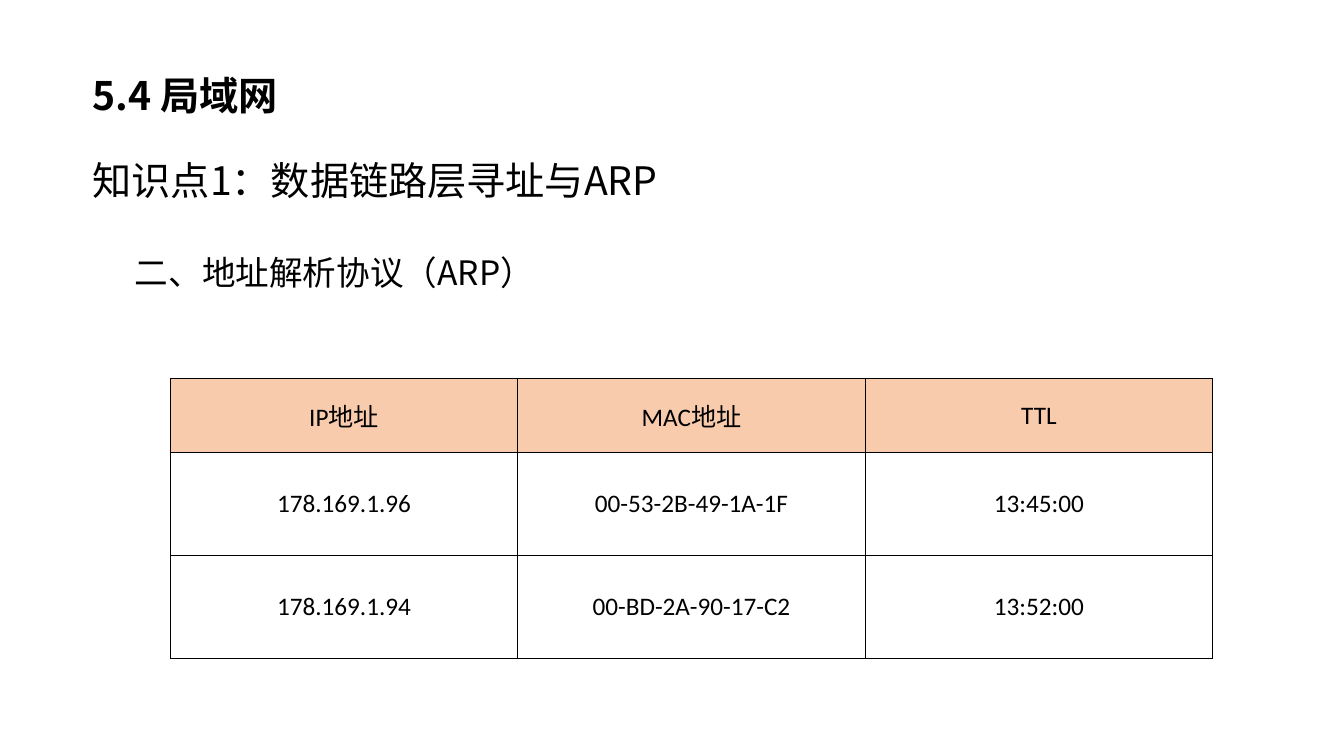
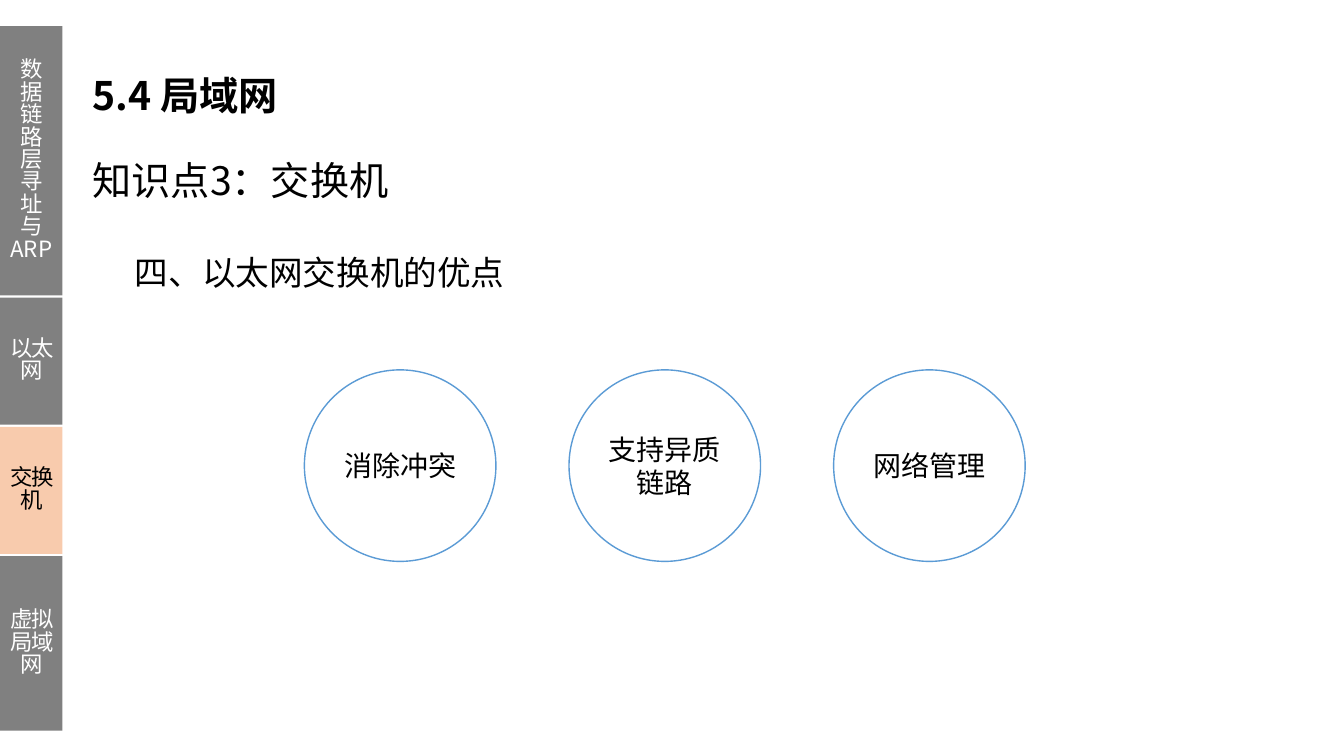
from lxml.etree import SubElement
from pptx import Presentation
from pptx.dml.color import RGBColor
from pptx.enum.lang import MSO_LANGUAGE_ID as Lang
from pptx.enum.shapes import MSO_SHAPE as Shape
from pptx.enum.text import MSO_ANCHOR as Anchor, MSO_AUTO_SIZE as AutoSize, PP_ALIGN as Align
from pptx.oxml.ns import qn
from pptx.util import Inches, Pt

BLACK, WHITE, GREY, PEACH, BLUE = "000000", "FFFFFF", "808080", "F8CBAD", "5B9BD5"
HAN_FONT, TABLE_FONT = "Noto Sans CJK SC", "Calibri"


def rgb(code):
    return RGBColor.from_string(code)


def write(frame, text, size, color=BLACK, font=HAN_FONT, bold=False,
          align=Align.LEFT, leading=None, tracking=0):
    paragraph = frame.paragraphs[0]
    paragraph.alignment = align
    if leading:
        paragraph.line_spacing = leading
    run = paragraph.add_run()
    run.text = text
    style = run.font
    style.size, style.name, style.bold = Pt(size), font, bold
    style.color.rgb = rgb(color)
    style.language_id = Lang.SIMPLIFIED_CHINESE
    properties = run._r.get_or_add_rPr()
    SubElement(properties, qn("a:ea"), typeface=HAN_FONT)
    if tracking:
        properties.set("spc", str(tracking * 100))


class Lesson:
    """Holds the lesson's style and current slide; lengths are percentages of the slide's size."""

    def __init__(self):
        self.deck = Presentation()
        self.deck.slide_width, self.deck.slide_height = Inches(13.333), Inches(7.5)
        self.slide = None

    def across(self, share):
        return round(self.deck.slide_width * share / 100)

    def down(self, share):
        return round(self.deck.slide_height * share / 100)

    def place(self, left, top, width, height):
        return self.across(left), self.down(top), self.across(width), self.down(height)

    def start(self, topic, section):
        self.slide = self.deck.slides.add_slide(self.deck.slide_layouts[6])
        self.heading("5.4 局域网", 6, 8.67, 72.4, 7.87, 28, inset=0.12, grow=True, bold=True)
        self.heading(topic, 6, 15.33, 91.2, 13.87, 28, inset=0.12,
                     anchor=Anchor.MIDDLE, leading=1.5)
        self.heading(section, 9.3, 31.2, 82, 7.6, 24, grow=True, leading=Pt(37))

    def heading(self, text, left, top, width, height, size, inset=0.1,
                grow=False, anchor=Anchor.TOP, **style):
        frame = self.slide.shapes.add_textbox(*self.place(left, top, width, height)).text_frame
        frame.word_wrap = True
        frame.auto_size = AutoSize.SHAPE_TO_FIT_TEXT if grow else AutoSize.NONE
        frame.vertical_anchor = anchor
        frame.margin_left = frame.margin_right = Inches(inset)
        frame.margin_top = frame.margin_bottom = Inches(inset / 2)
        write(frame, text, size, **style)

    def panel(self, parent, kind, box, text, size, fill, line=None, **style):
        shape = parent.add_shape(kind, *box)
        shape.shadow.inherit = False
        shape.fill.solid()
        shape.fill.fore_color.rgb = rgb(fill)
        if line:
            shape.line.color.rgb = rgb(line)
            shape.line.width = Pt(1)
        else:
            shape.line.fill.background()
        frame = shape.text_frame
        frame.word_wrap = True
        frame.vertical_anchor = Anchor.MIDDLE
        write(frame, text, size, align=Align.CENTER, **style)

    def circles(self, labels, left=22.65, top=48.93, pitch=19.69, diameter=14.25):
        for index, label in enumerate(labels):
            side = self.across(diameter)
            box = self.across(left + index * pitch), self.down(top), side, side
            self.panel(self.slide.shapes, Shape.OVAL, box, label, 20, WHITE, BLUE)

    def sidebar(self, tabs, current, top=3.47, width=4.65, gap=0.3):
        group = self.slide.shapes.add_group_shape().shapes
        for label, height, tracking in tabs:
            fill, color = (PEACH, BLACK) if label == current else (GREY, WHITE)
            self.panel(group, Shape.RECTANGLE, self.place(0, top, width, height), label, 16,
                       fill, color=color, leading=Pt(16), tracking=tracking)
            top += height + gap

    def table(self, rows, heights, left, top, width):
        box = self.place(left, top, width, sum(heights))
        grid = self.slide.shapes.add_table(len(rows), len(rows[0]), *box).table
        grid.horz_banding = False
        for column in grid.columns:
            column.width = self.across(width / len(rows[0]))
        for index, (entries, height) in enumerate(zip(rows, heights)):
            grid.rows[index].height = self.down(height)
            for cell, entry in zip(grid.rows[index].cells, entries):
                self.border(cell)
                if index == 0:
                    cell.fill.solid()
                    cell.fill.fore_color.rgb = rgb(PEACH)
                else:
                    cell.fill.background()
                cell.vertical_anchor = Anchor.MIDDLE
                write(cell.text_frame, entry, 18, font=TABLE_FONT, align=Align.CENTER)

    def border(self, cell):
        properties = cell._tc.get_or_add_tcPr()
        for side in ("lnL", "lnR", "lnT", "lnB"):
            edge = SubElement(properties, qn(f"a:{side}"), w=str(Pt(1)))
            SubElement(SubElement(edge, qn("a:solidFill")), qn("a:srgbClr"), val=BLACK)


def main():
    lesson = Lesson()

    lesson.start("知识点1：数据链路层寻址与ARP", "二、地址解析协议（ARP）")
    arp_entries = [
        ("IP地址", "MAC地址", "TTL"),
        ("178.169.1.96", "00-53-2B-49-1A-1F", "13:45:00"),
        ("178.169.1.94", "00-BD-2A-90-17-C2", "13:52:00"),
    ]
    lesson.table(arp_entries, (9.8, 13.63, 13.63), 12.68, 50.07, 77.55)

    lesson.start("知识点3：交换机", "四、以太网交换机的优点")
    lesson.circles(("消除冲突", "支持异质链路", "网络管理"))
    topics = [
        ("数据链路层寻址与ARP", 35.6, 0),
        ("以太网", 16.8, -1),
        ("交换机", 16.8, -1),
        ("虚拟局域网", 23.07, -1),
    ]
    lesson.sidebar(topics, current="交换机")

    lesson.deck.save("out.pptx")


if __name__ == "__main__":
    main()
